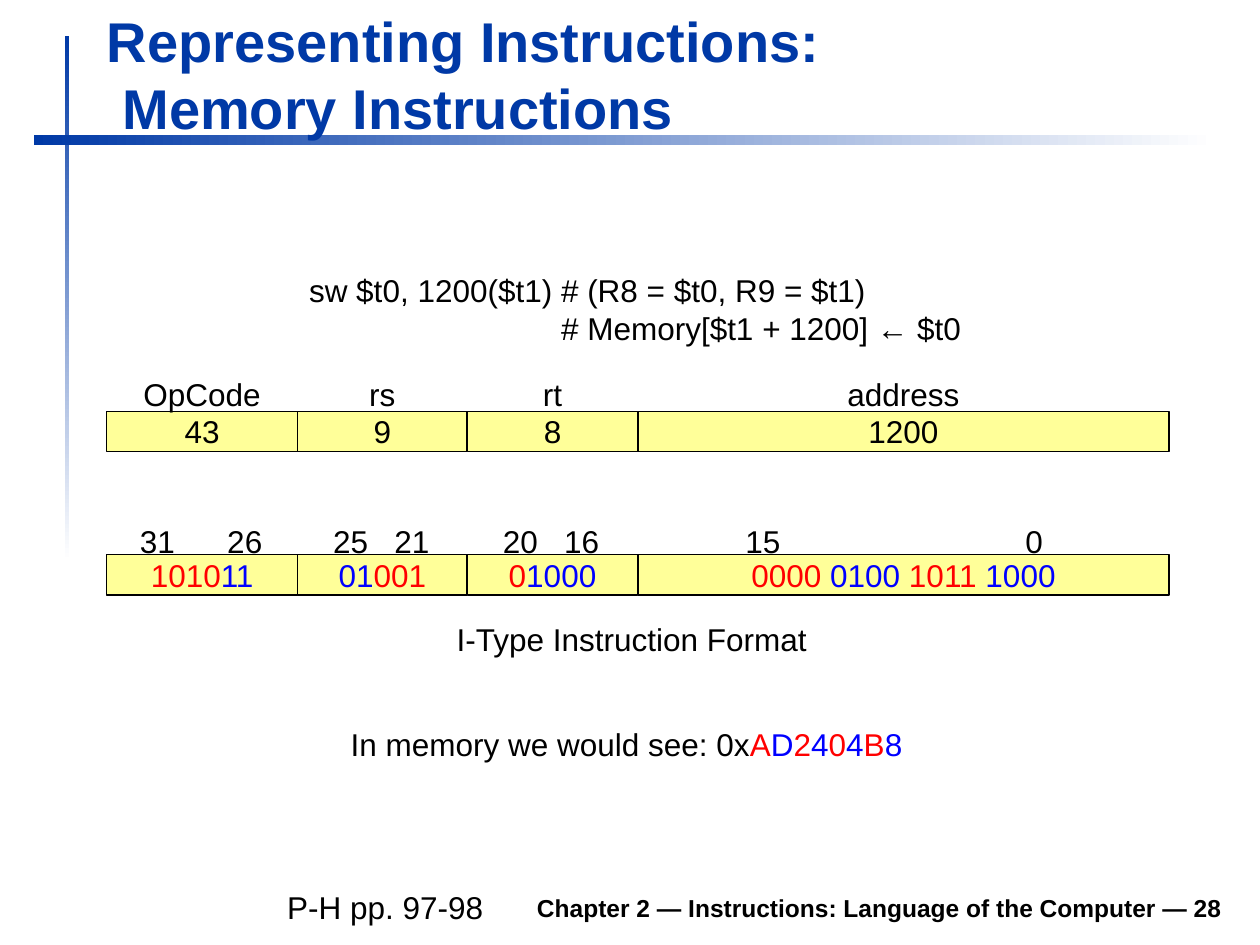
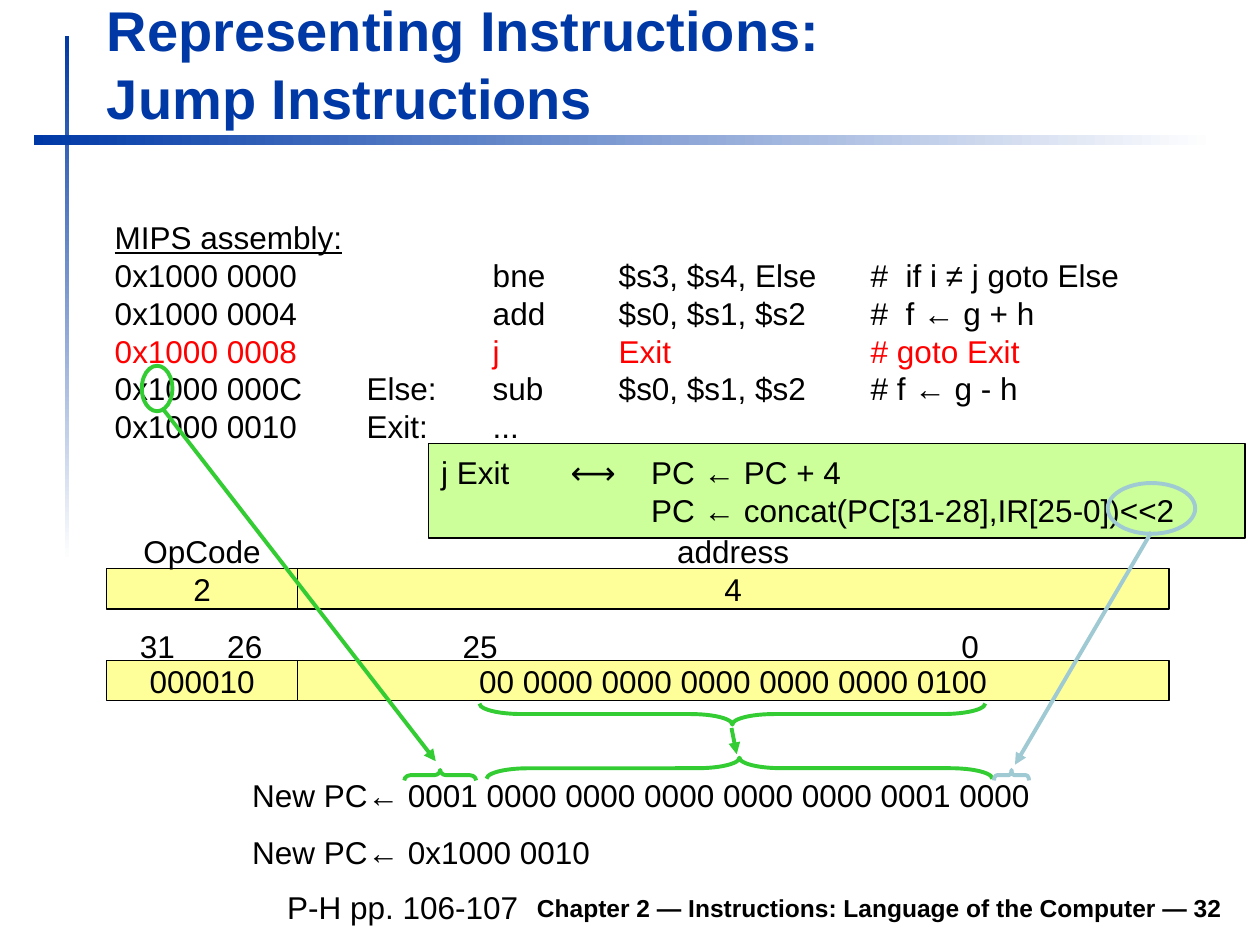
from dataclasses import dataclass
from itertools import groupby

from lxml.etree import SubElement
from pptx import Presentation
from pptx.dml.color import RGBColor as RGB
from pptx.enum.shapes import MSO_CONNECTOR as Connector, MSO_SHAPE as Shape
from pptx.enum.text import MSO_ANCHOR as Anchor, PP_ALIGN as Align
from pptx.oxml.ns import qn
from pptx.util import Pt


@dataclass(frozen=True)
class Theme:
    font: str = "Arial"
    title_size: int = 32
    body_size: int = 18
    footer_size: int = 14
    thin: float = 0.75
    thick: float = 2.25
    navy: RGB = RGB(0x00, 0x39, 0xA6)
    white: RGB = RGB(0xFF, 0xFF, 0xFF)
    black: RGB = RGB(0x00, 0x00, 0x00)
    red: RGB = RGB(0xFF, 0x00, 0x00)
    blue: RGB = RGB(0x00, 0x00, 0xFF)
    yellow: RGB = RGB(0xFF, 0xFF, 0x99)
    lime: RGB = RGB(0xCC, 0xFF, 0x99)
    green: RGB = RGB(0x33, 0xCC, 0x33)
    teal: RGB = RGB(0x9F, 0xCA, 0xD3)


THEME = Theme()
DOWN, RIGHT = 270, 0
POINT_UP, POINT_DOWN = 90, 270
CELL_HEIGHT, LABEL_HEIGHT = 23, 29
I_TYPE_EDGES = [61, 170, 267, 364.5, 668]
J_TYPE_EDGES = [61, 170, 668]


def alternating_runs(digits, first=0, group=4):
    """Colour digits red and blue by turns, counting from position first."""
    colours, position = [], first
    for digit in digits:
        colours.append((THEME.blue if position // group % 2 else THEME.red, digit))
        position += digit != " "
    return [("".join(digit for _, digit in pairs), colour)
            for colour, pairs in groupby(colours, key=lambda pair: pair[0])]


class Deck:
    def __init__(self, theme):
        self.theme = theme
        self.presentation = Presentation()
        self.presentation.slide_width = Pt(720)
        self.presentation.slide_height = Pt(540)
        self.slide = None

    def start_slide(self, title, title_top, number, pages):
        theme = self.theme
        self.slide = self.presentation.slides.add_slide(self.presentation.slide_layouts[6])
        self.fading_bar(37, 20.5, 2.5, 300, DOWN)
        self.fading_bar(19.5, 77, 675, 6, RIGHT)
        self.text(54, title_top, 650, 84, [title], size=theme.title_size,
                  colour=theme.navy, bold=True, anchor=Anchor.BOTTOM)
        self.text(133, 502.5, 572.5, 28,
                  [f"Chapter 2 — Instructions: Language of the Computer — {number}"],
                  size=theme.footer_size, bold=True, align=Align.RIGHT, anchor=Anchor.BOTTOM)
        self.text(157, 504, 150, LABEL_HEIGHT, [f"P-H pp. {pages}"], anchor=Anchor.TOP)

    def shape(self, kind, left, top, width, height, fill=None, line=None, weight=None):
        shape = self.slide.shapes.add_shape(kind, Pt(left), Pt(top), Pt(width), Pt(height))
        shape.shadow.inherit = False
        if fill is None:
            shape.fill.background()
        else:
            shape.fill.solid()
            shape.fill.fore_color.rgb = fill
        if line is None:
            shape.line.fill.background()
        else:
            shape.line.color.rgb = line
            shape.line.width = Pt(weight or self.theme.thick)
        return shape

    def fading_bar(self, left, top, width, height, angle):
        fill = self.shape(Shape.RECTANGLE, left, top, width, height).fill
        fill.gradient()
        fill.gradient_angle = angle
        for stop, colour in zip(fill.gradient_stops, (self.theme.navy, self.theme.white)):
            stop.color.rgb = colour

    def fill_text(self, shape, paragraphs, size=None, colour=None, bold=False,
                  align=Align.LEFT, anchor=Anchor.MIDDLE, tabs=()):
        """Fill a shape; a paragraph is a string or a list of (text, colour) runs."""
        frame = shape.text_frame
        frame.word_wrap = True
        frame.vertical_anchor = anchor
        frame.margin_left = frame.margin_right = Pt(7.2)
        frame.margin_top = frame.margin_bottom = Pt(3.6)
        for index, content in enumerate(paragraphs):
            paragraph = frame.add_paragraph() if index else frame.paragraphs[0]
            paragraph.alignment = align
            if tabs:
                self.add_tabs(paragraph, tabs)
            font = paragraph.font
            font.name = self.theme.font
            font.size = Pt(size or self.theme.body_size)
            font.bold = bold
            font.color.rgb = colour or self.theme.black
            if isinstance(content, str):
                paragraph.text = content
                continue
            for text, run_colour in content:
                run = paragraph.add_run()
                run.text = text
                run.font.color.rgb = run_colour

    @staticmethod
    def add_tabs(paragraph, tabs):
        tab_list = SubElement(paragraph._p.get_or_add_pPr(), qn("a:tabLst"))
        for position, kind in tabs:
            SubElement(tab_list, qn("a:tab"), pos=str(int(Pt(position))), algn=kind)

    def text(self, left, top, width, height, paragraphs, **style):
        box = self.slide.shapes.add_textbox(Pt(left), Pt(top), Pt(width), Pt(height))
        self.fill_text(box, paragraphs, **style)
        return box

    def panel(self, left, top, width, height, fill, paragraphs, **style):
        panel = self.shape(Shape.RECTANGLE, left, top, width, height,
                           fill, self.theme.black, self.theme.thin)
        self.fill_text(panel, paragraphs, **style)
        return panel

    def field_row(self, top, edges, values):
        for left, right, value in zip(edges, edges[1:], values):
            cell = self.panel(left, top, right - left, CELL_HEIGHT, self.theme.yellow,
                              [value], align=Align.CENTER)
            cell.text_frame.margin_top = cell.text_frame.margin_bottom = 0

    def field_names(self, top, edges, names):
        for left, right, name in zip(edges, edges[1:], names):
            self.text(left, top, right - left, LABEL_HEIGHT, [name], align=Align.CENTER)

    def bit_ranges(self, top, ranges):
        """Put the high and low bit of each field at the ends of its span."""
        for start, end, high, low in ranges:
            self.text(start - 7.2, top, end - start + 20, LABEL_HEIGHT,
                      [f"{high}\t{low}"], tabs=[(end - start, "r")])

    def ring(self, left, top, width, height, colour):
        self.shape(Shape.OVAL, left, top, width, height, line=colour)

    def brace(self, left, top, length, depth, rotation, colour):
        """Draw a brace lying flat in the given area."""
        brace = self.shape(Shape.LEFT_BRACE, left + (length - depth) / 2,
                           top + (depth - length) / 2, depth, length, line=colour)
        brace.adjustments[0] = length / depth / 12
        brace.rotation = rotation

    def arrow(self, start, end, colour):
        points = [Pt(value) for value in (*start, *end)]
        arrow = self.slide.shapes.add_connector(Connector.STRAIGHT, *points)
        arrow.line.color.rgb = colour
        arrow.line.width = Pt(self.theme.thick)
        SubElement(arrow.line._get_or_add_ln(), qn("a:tailEnd"), type="triangle")
        SubElement(arrow._element.spPr, qn("a:effectLst"))


def memory_slide(deck):
    deck.start_slide("Representing Instructions:\n Memory Instructions", 0, 28, "97-98")
    deck.text(169.5, 149, 420, 55,
              ["sw $t0, 1200($t1) # (R8 = $t0, R9 = $t1)", "\t# Memory[$t1 + 1200] ← $t0"],
              tabs=[(144, "l")])

    deck.field_row(235, I_TYPE_EDGES, ["43", "9", "8", "1200"])
    deck.field_names(210.5, I_TYPE_EDGES, ["OpCode", "rs", "rt", "address"])

    fields = ["101011", "01001", "01000", "0000 0100 1011 1000"]
    first_bits = [0, 6, 11, 16]
    deck.field_row(317, I_TYPE_EDGES,
                   [alternating_runs(bits, first) for bits, first in zip(fields, first_bits)])
    deck.bit_ranges(294.5, [(80, 150, 31, 26), (190.5, 245.5, 25, 21),
                            (287.5, 342.5, 20, 16), (426, 596, 15, 0)])

    deck.text(240, 350.5, 242, LABEL_HEIGHT, ["I-Type Instruction Format"], align=Align.CENTER)
    deck.text(183, 410.5, 350, LABEL_HEIGHT,
              [[("In memory we would see: 0x", THEME.black),
                *alternating_runs("AD2404B8", group=1)]], align=Align.CENTER)


def jump_slide(deck):
    deck.start_slide("Representing Instructions:\nJump Instructions", -6, 32, "106-107")
    deck.panel(245, 253.5, 466.5, 54, THEME.lime,
               ["j Exit\t⟷\tPC ← PC + 4", "\t\tPC ← concat(PC[31-28],IR[25-0])<<2"],
               tabs=[(74, "l"), (120, "l")])

    deck.field_row(377.5, J_TYPE_EDGES, ["000010", "00 0000 0000 0000 0000 0000 0100"])
    deck.bit_ranges(354.5, [(80, 150, 31, 26), (264.5, 559.5, 25, 0)])
    deck.field_row(325, J_TYPE_EDGES, ["2", "4"])
    deck.field_names(300.5, J_TYPE_EDGES, ["OpCode", "address"])

    listing = deck.text(58.5, 121, 620, 137, [
        "MIPS assembly:",
        "0x1000 0000\t\tbne\t$s3, $s4, Else\t#  if i ≠ j goto Else",
        "0x1000 0004\t\tadd\t$s0, $s1, $s2\t#  f ← g + h",
        [("0x1000 0008\t\tj\tExit\t# goto Exit", THEME.red)],
        "0x1000 000C\tElse:\tsub\t$s0, $s1, $s2\t# f ← g - h",
        "0x1000 0010\tExit:\t...",
    ], tabs=[(144, "l"), (216, "l"), (288, "l"), (432, "l")])
    listing.text_frame.paragraphs[0].font.underline = True

    new_pc_lines = ["0001 0000 0000 0000 0000 0000 0001 0000", "0x1000 0010"]
    for row, value in enumerate(new_pc_lines):
        deck.text(137, 440 + 32.5 * row, 480, LABEL_HEIGHT, [f"New PC← {value}"])

    deck.ring(81, 209, 17.5, 26, THEME.green)
    deck.arrow((93, 233.5), (249, 435), THEME.green)
    deck.brace(231, 440, 41, 6, POINT_UP, THEME.green)

    deck.brace(274, 402, 289, 12, POINT_DOWN, THEME.green)
    deck.arrow((418, 416), (421, 431), THEME.green)
    deck.brace(278, 433, 289, 12, POINT_UP, THEME.green)

    deck.ring(633, 276, 50, 29, THEME.teal)
    deck.arrow((658, 304), (580, 437), THEME.teal)
    deck.brace(568, 440, 20, 6, POINT_UP, THEME.teal)


def main():
    deck = Deck(THEME)
    memory_slide(deck)
    jump_slide(deck)
    deck.presentation.save("out.pptx")


if __name__ == "__main__":
    main()
